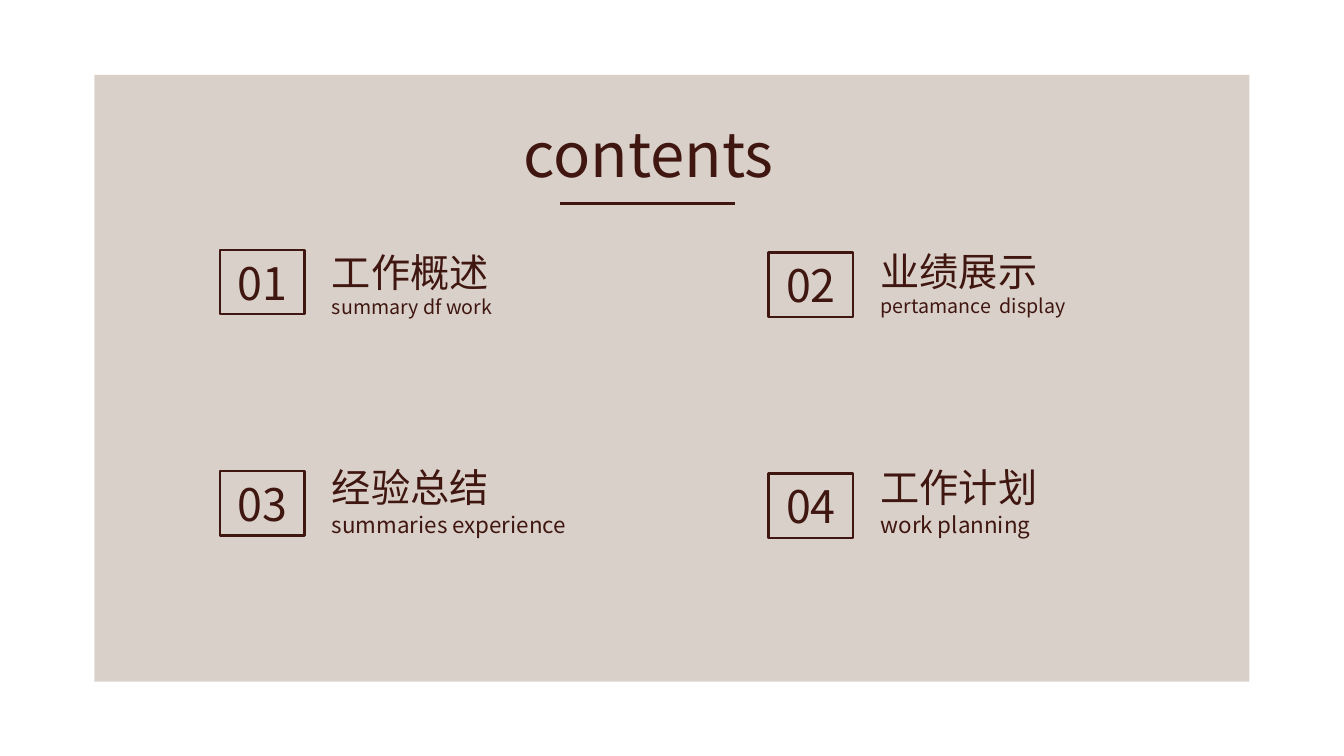
from pptx import Presentation
from pptx.dml.color import RGBColor
from pptx.enum.shapes import MSO_CONNECTOR as Connector, MSO_SHAPE as Shape
from pptx.enum.text import MSO_ANCHOR as Anchor, PP_ALIGN as Align
from pptx.oxml.ns import qn
from pptx.util import Pt
from lxml.etree import SubElement

FONT = "Noto Sans CJK SC"
BROWN = "401611"
BEIGE = "D1C7BD"


def color(hex_value):
    return RGBColor.from_string(hex_value)


def place(box):
    return [Pt(value) for value in box]


def write(shape, lines, align, anchor=Anchor.TOP):
    frame = shape.text_frame
    for name, value in {"word_wrap": True, "vertical_anchor": anchor}.items():
        setattr(frame, name, value)
    for index, (text, size) in enumerate(lines):
        para = frame.add_paragraph() if index else frame.paragraphs[0]
        para.alignment = align
        span = para.add_run()
        span.text = text
        for name, value in {"name": FONT, "size": Pt(size)}.items():
            setattr(span.font, name, value)
        span.font.color.rgb = color(BROWN)
        SubElement(span.font._element, qn("a:ea"), typeface=FONT)


def add_panel(page, box):
    panel = page.shapes.add_shape(Shape.RECTANGLE, *place(box))
    panel.shadow.inherit = False
    panel.fill.solid()
    panel.fill.fore_color.rgb = color(BEIGE)
    fill_color = panel.fill._xPr.find(qn("a:solidFill"))[0]
    SubElement(fill_color, qn("a:alpha"), val="81000")
    panel.line.fill.background()


def add_title(page, box):
    left, top, width, height = box
    write(page.shapes.add_textbox(*place(box)), [("contents", 44)], Align.CENTER)
    start, end, level = left + 43.5, left + 168.5, top + 66.2
    rule = page.shapes.add_connector(
        Connector.STRAIGHT, *place((start, level, end, level)))
    rule.line.color.rgb = color(BROWN)
    rule.line.width = Pt(2.75)
    SubElement(rule._element.spPr, qn("a:effectLst"))


def add_entry(page, box, number, lines, text_top):
    left, top, width, height = box
    frame = page.shapes.add_shape(Shape.RECTANGLE, *place((left, top, 60.5, 46)))
    frame.shadow.inherit = False
    frame.fill.background()
    frame.line.color.rgb = color(BROWN)
    frame.line.width = Pt(1.75)
    write(frame, [(number, 32)], Align.CENTER, Anchor.MIDDLE)
    label = page.shapes.add_textbox(*place((left + 73, text_top, width - 73, height)))
    write(label, lines, Align.LEFT)


def add_contents(page):
    add_panel(page, (67.5, 53.5, 825, 433.5))
    add_title(page, (356.4, 79.2, 214, 60.5))
    entries = [
        ("工作概述", "summary df work", 14, 173.5),
        ("业绩展示", "pertamance  display", 14, 172.8),
        ("经验总结", "summaries experience", 16, 327.6),
        ("工作计划", "work planning", 16, 327.6),
    ]
    for index, (title, subtitle, size, text_top) in enumerate(entries):
        row, column = divmod(index, 2)
        box = (157 + column * 392, 178.5 + row * 158 + column * 1.8, 287, 60.5)
        add_entry(page, box, f"{index + 1:02}", [(title, 28), (subtitle, size)], text_top)


def main():
    deck = Presentation()
    deck.slide_width, deck.slide_height = Pt(960), Pt(540)
    add_contents(deck.slides.add_slide(deck.slide_layouts[6]))
    deck.save("out.pptx")


if __name__ == "__main__":
    main()
